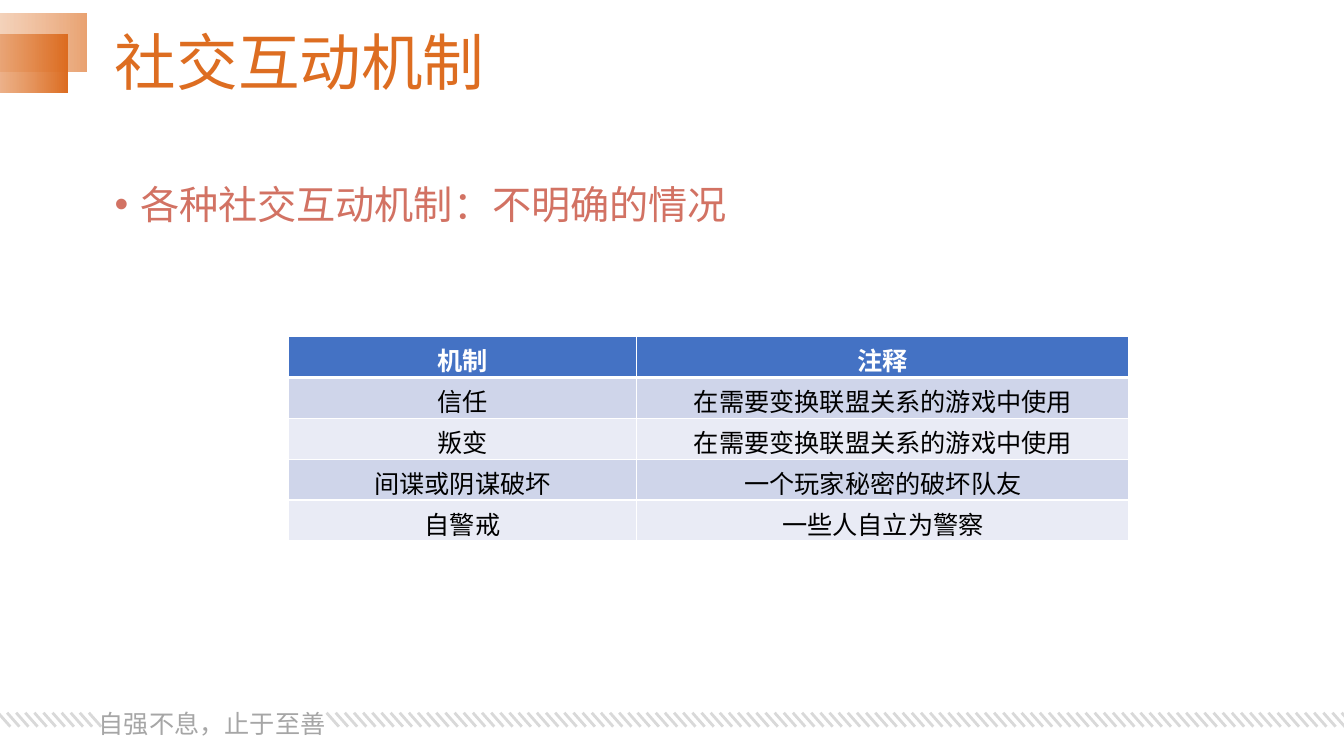
from dataclasses import dataclass

from lxml import etree
from pptx import Presentation, util as u
from pptx.dml.color import RGBColor
from pptx.enum import shapes, text
from pptx.oxml import ns

# Content
TITLE = "社交互动机制"
BULLET = "各种社交互动机制：不明确的情况"
MOTTO = "自强不息，止于至善"
MECHANISMS = [
    ("机制", "注释"),
    ("信任", "在需要变换联盟关系的游戏中使用"),
    ("叛变", "在需要变换联盟关系的游戏中使用"),
    ("间谍或阴谋破坏", "一个玩家秘密的破坏队友"),
    ("自警戒", "一些人自立为警察"),
]


@dataclass(frozen=True)
class Theme:
    orange: str = "DD6D21"
    pale_orange: str = "EAA372"
    red: str = "D27263"
    grey: str = "A6A6A6"
    stripe: str = "D9D9D9"
    header: str = "4472C4"
    bands: tuple = ("CFD5EA", "E9EBF5")
    white: str = "FFFFFF"
    black: str = "000000"
    font: str = "Noto Sans CJK SC"
    motto_font: str = "Noto Sans CJK JP"
    title_size: int = 44
    bullet_size: int = 28
    small_size: int = 18


THEME = Theme()
ALIGN = text.PP_ALIGN

# Layout in centimetres: left, top, width, height
TITLE_BOX = (2.64, 0.28, 29.21, 2.72)
BULLET_BOX = (2.64, 4.55, 29.21, 12.29)
MOTTO_BOX = (2.24, 17.35, 6.25, 1.32)
TABLE_BOX = (7.26, 8.48, 21.2, 5.15)
COLUMN_WIDTHS = (8.79, 12.4)
CORNER_BLOCKS = [  # box, end colour, opacity of the white end in percent
    ((-4.04, 0.33, 6.22, 1.47), THEME.pale_orange, 25),
    ((-4.52, 0.86, 6.22, 1.47), THEME.orange, 0),
]
STRIPE_RUNS = [(-0.05, 2.24, 11), (8.23, 33.81, 112)]  # first, last, count
STRIPE_TOP, STRIPE_WIDTH, STRIPE_HEIGHT = 17.96, 0.31, 0.35


def cm(values):
    return [u.Cm(value) for value in values]


def rgb(colour):
    return RGBColor.from_string(colour)


def child(parent, tag, **attributes):
    return etree.SubElement(parent, ns.qn(tag), **attributes)


def write(frame, content, *, size, colour, font=THEME.font, bold=False,
          align=ALIGN.LEFT, spacing=1.0, bullet=None):
    frame.text = content
    paragraph = frame.paragraphs[0]
    paragraph.alignment = align
    paragraph.line_spacing = spacing
    if bullet:
        properties = paragraph._p.get_or_add_pPr()
        properties.set("marL", str(u.Cm(0.64)))
        properties.set("indent", str(-u.Cm(0.64)))
        child(properties, "a:buFont", typeface="Arial")
        child(properties, "a:buChar", char=bullet)
    run = paragraph.runs[0]
    run.font.size = u.Pt(size)
    run.font.bold = bold
    run.font.color.rgb = rgb(colour)
    run.font.name = font
    child(run._r.get_or_add_rPr(), "a:ea", typeface=font)


def add_corner_block(slide, box, colour, opacity):
    block = slide.shapes.add_shape(shapes.MSO_SHAPE.RECTANGLE, *cm(box))
    block.shadow.inherit = False
    block.line.fill.background()
    block.fill.gradient()
    block.fill.gradient_angle = 0
    start, end = block.fill.gradient_stops
    start.position, end.position = 0, 1
    start.color.rgb, end.color.rgb = rgb(THEME.white), rgb(colour)
    white = block._element.spPr.find(".//" + ns.qn("a:srgbClr"))
    child(white, "a:alpha", val=str(opacity * 1000))


def add_stripes(slide, first, last, count):
    group = slide.shapes.add_group_shape()
    step = (last - first) / (count - 1)
    for index in range(count):
        left = first + index * step
        ends = cm((left, STRIPE_TOP, left + STRIPE_WIDTH, STRIPE_TOP + STRIPE_HEIGHT))
        stripe = group.shapes.add_connector(shapes.MSO_CONNECTOR.STRAIGHT, *ends)
        stripe.line.color.rgb = rgb(THEME.stripe)
        stripe.line.width = u.Pt(2)
        child(stripe._element.spPr, "a:effectLst")


def add_text_box(slide, box, content, wrap=True, **style):
    frame = slide.shapes.add_textbox(*cm(box)).text_frame
    frame.word_wrap = wrap
    write(frame, content, **style)


def set_borders(cell, widths):
    properties = cell._tc.get_or_add_tcPr()
    for side, width in widths.items():
        line = child(properties, f"a:ln{side}", w=str(u.Pt(width)))
        child(child(line, "a:solidFill"), "a:srgbClr", val=THEME.white)


def add_mechanism_table(slide):
    row_count = len(MECHANISMS)
    table = slide.shapes.add_table(row_count, len(COLUMN_WIDTHS), *cm(TABLE_BOX)).table
    table.horz_banding = False
    for column, width in zip(table.columns, COLUMN_WIDTHS):
        column.width = u.Cm(width)
    for row_index, values in enumerate(MECHANISMS):
        is_header = row_index == 0
        fill = THEME.header if is_header else THEME.bands[(row_index - 1) % 2]
        top = 3 if row_index == 1 else 1
        bottom = 3 if is_header else 1
        table.rows[row_index].height = u.Cm(TABLE_BOX[3] / row_count)
        for column_index, value in enumerate(values):
            cell = table.cell(row_index, column_index)
            set_borders(cell, {"L": 1, "R": 1, "T": top, "B": bottom})
            cell.fill.solid()
            cell.fill.fore_color.rgb = rgb(fill)
            write(cell.text_frame, value, size=THEME.small_size, bold=is_header,
                  colour=THEME.white if is_header else THEME.black,
                  align=ALIGN.CENTER)


def main():
    presentation = Presentation()
    presentation.slide_width, presentation.slide_height = cm((33.87, 19.05))
    slide = presentation.slides.add_slide(presentation.slide_layouts[5])

    # Corner decoration and footer
    for block in CORNER_BLOCKS:
        add_corner_block(slide, *block)
    for stripe_run in STRIPE_RUNS:
        add_stripes(slide, *stripe_run)
    add_text_box(slide, MOTTO_BOX, MOTTO, wrap=False, size=THEME.small_size,
                 colour=THEME.grey, font=THEME.motto_font,
                 align=ALIGN.JUSTIFY, spacing=1.5)

    # Title
    title = slide.shapes.title
    title.left, title.top, title.width, title.height = cm(TITLE_BOX)
    title.text_frame.vertical_anchor = text.MSO_ANCHOR.MIDDLE
    title.text_frame.auto_size = text.MSO_AUTO_SIZE.NONE
    write(title.text_frame, TITLE, size=THEME.title_size, colour=THEME.orange, spacing=0.9)

    # Bullet and table
    add_text_box(slide, BULLET_BOX, BULLET, size=THEME.bullet_size,
                 colour=THEME.red, spacing=0.9, bullet="•")
    add_mechanism_table(slide)

    presentation.save("out.pptx")


if __name__ == "__main__":
    main()
